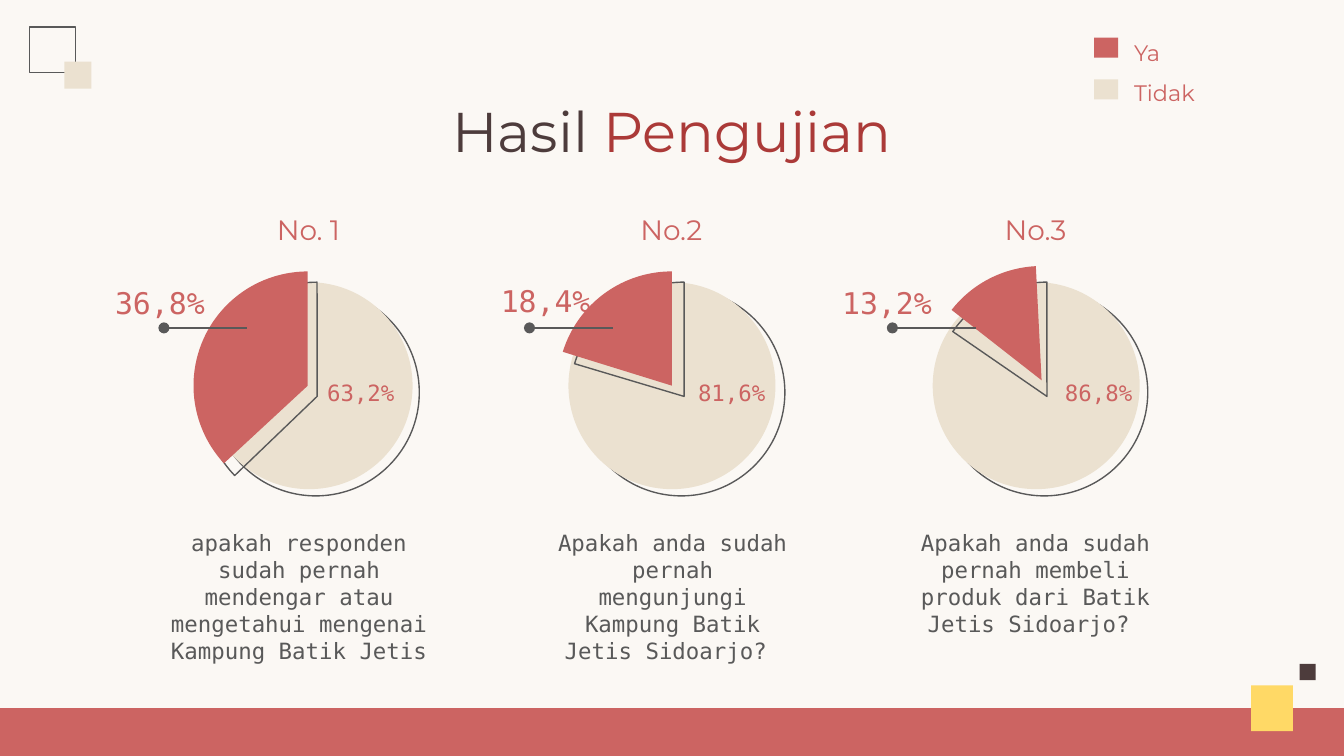
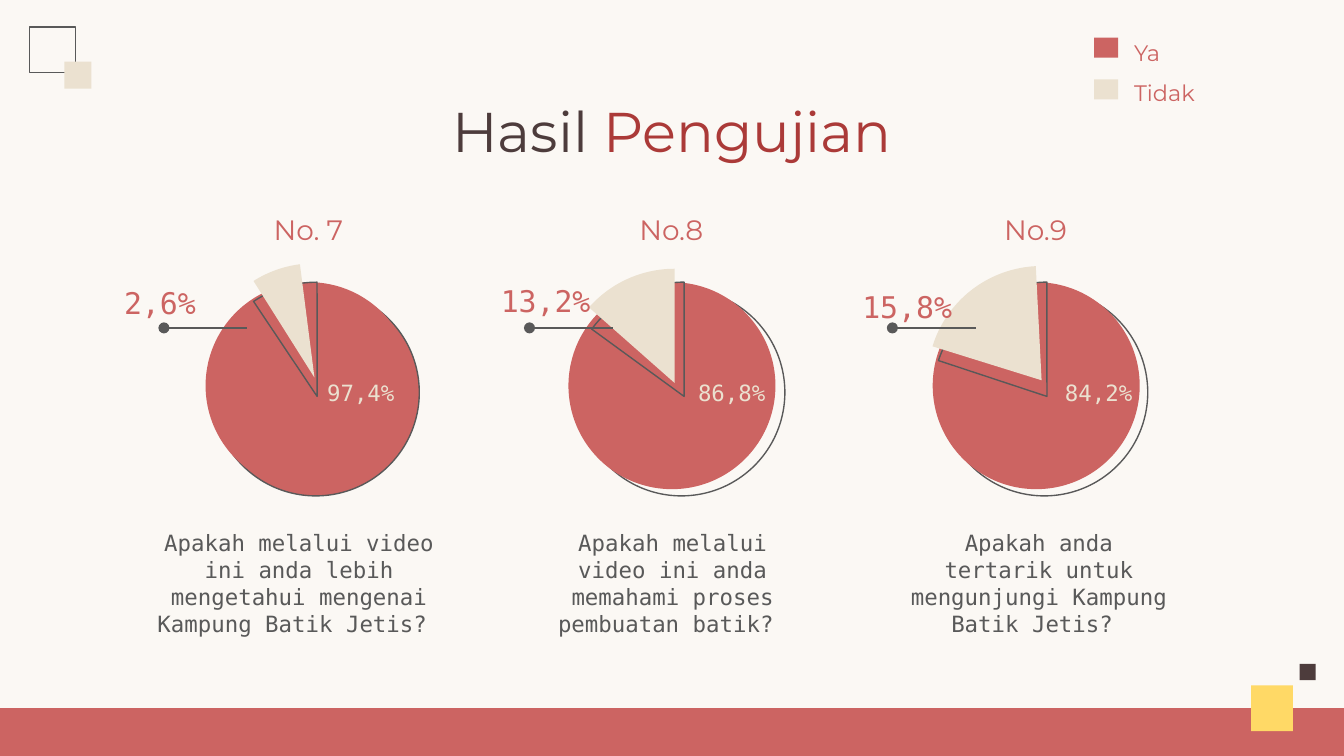
from dataclasses import dataclass

from lxml.etree import SubElement
from pptx import Presentation
from pptx.dml.color import RGBColor
from pptx.enum.shapes import MSO_CONNECTOR, MSO_SHAPE
from pptx.enum.text import MSO_ANCHOR, MSO_AUTO_SIZE, PP_ALIGN
from pptx.oxml.ns import qn
from pptx.util import Inches, Pt

PAPER, GRAY, BROWN, CRIMSON = "FBF8F4", "595959", "4D3C3C", "AB3A38"
RED, BEIGE, YELLOW = "CC6462", "EBE1D0", "FFD966"
HEADING_FONT, BODY_FONT = "Montserrat", "DejaVu Sans Mono"
LINE_WIDTH = 0.75
CIRCLE_SIZE, PIE_SIZE = 1.54, 1.7
COLUMN_TOP = 1.51


@dataclass
class Column:
    """Left edge of a column and the offsets of its parts from that edge."""
    left: float
    ring: float
    wedge: float
    pointer: float
    majority: float


@dataclass
class Question:
    """One survey question; slice and caption lefts count from the column."""
    number: str
    text: str
    minority: str
    majority: str
    wedge_angle: float
    slice_angle: float
    slice_place: tuple
    caption: tuple
    label_place: tuple
    slice_turn: float = 0
    majority_ring: bool = False


COLUMNS = [
    Column(1.47, 0.11, 0.04, -0.25, 0.78),
    Column(4.17, 0.13, 0.07, -0.23, 0.84),
    Column(6.88, 0.12, 0.06, -0.24, 0.86),
]

AWARENESS = [
    Question("No. 1", "apakah responden sudah pernah mendengar atau mengetahui "
             "mengenai Kampung Batik Jetis", "36,8%", "63,2%", 136.17, 137.19,
             (-0.03, 0.51), (-0.44, 2.39), (-0.73, 0.53)),
    Question("No.2", "Apakah anda sudah pernah mengunjungi Kampung Batik Jetis "
             "Sidoarjo? ", "18,4%", "81,6%", 196.61, 197.22,
             (-0.02, 0.51), (-0.15, 1.97), (-0.56, 0.52)),
    Question("No.3", "Apakah anda sudah pernah membeli produk dari Batik Jetis "
             "Sidoarjo? ", "13,2%", "86,8%", 214.54, 220.9,
             (0.02, 0.47), (-0.16, 1.97), (-0.73, 0.53), -2.9),
]

VIDEO_EFFECT = [
    Question("No. 7", "Apakah melalui video ini anda lebih mengetahui mengenai "
             "Kampung Batik Jetis? ", "2,6%", "97,4%", 236.22, 245.07,
             (0.02, 0.45), (-0.45, 2.41), (-0.73, 0.53), -7.3, True),
    Question("No.8", "Apakah melalui video ini anda memahami proses pembuatan "
             "batik? ", "13,2%", "86,8%", 216.08, 221.44,
             (0, 0.49), (-0.15, 1.97), (-0.56, 0.52)),
    Question("No.9", "Apakah anda tertarik untuk mengunjungi Kampung Batik "
             "Jetis? ", "15,8%", "84,2%", 198.28, 200.19,
             (0.02, 0.47), (-0.24, 2.18), (-0.58, 0.56), -2.9),
]


def rgb(color):
    """Turn a hex string into a colour."""
    return RGBColor.from_string(color)


def add_figure(slide, kind, box, fill=None, line=None):
    """Add a flat preset shape."""
    shape = slide.shapes.add_shape(kind, *map(Inches, box))
    shape.shadow.inherit = False
    if fill:
        shape.fill.solid()
        shape.fill.fore_color.rgb = rgb(fill)
    else:
        shape.fill.background()
    if line:
        shape.line.color.rgb = rgb(line)
        shape.line.width = Pt(LINE_WIDTH)
    else:
        shape.line.fill.background()
    return shape


def add_pie(slide, left, top, angle, fill=None, line=None, turn=0):
    """Add a pie sector running clockwise from an angle to twelve o'clock."""
    box = (left, top, PIE_SIZE, PIE_SIZE)
    shape = add_figure(slide, MSO_SHAPE.PIE, box, fill, line)
    for index, degrees in enumerate((angle, 270)):
        shape.adjustments[index] = degrees * 0.6
    shape.rotation = turn


def set_frame(frame, anchor, inset=0.1):
    """Wrap a text frame and set its anchor and margins."""
    frame.word_wrap = True
    frame.auto_size = MSO_AUTO_SIZE.NONE
    frame.vertical_anchor = anchor
    frame.margin_left = frame.margin_right = Inches(0.1)
    frame.margin_top = frame.margin_bottom = Inches(inset)


def write(paragraph, text, size=12, color=RED, font=BODY_FONT,
          align=PP_ALIGN.CENTER):
    """Append a formatted run to a paragraph."""
    paragraph.alignment = align
    run = paragraph.add_run()
    run.text = text
    run.font.size = Pt(size)
    run.font.name = font
    run.font.color.rgb = rgb(color)


def add_label(slide, box, text, anchor=MSO_ANCHOR.MIDDLE, **style):
    """Add a text box with one formatted paragraph."""
    frame = slide.shapes.add_textbox(*map(Inches, box)).text_frame
    set_frame(frame, anchor)
    write(frame.paragraphs[0], text, **style)


def add_pointer(slide, left, top, length=0.62):
    """Add a horizontal line that starts with a dot."""
    connector = slide.shapes.add_connector(
        MSO_CONNECTOR.STRAIGHT,
        *map(Inches, (left, top, left + length, top)))
    connector.line.color.rgb = rgb(GRAY)
    connector.line.width = Pt(LINE_WIDTH)
    SubElement(connector.line._get_or_add_ln(), qn("a:headEnd"), type="oval")
    SubElement(connector._element.spPr, qn("a:effectLst"))


def add_decor(slide):
    """Add the bottom band and the corner squares."""
    for box, fill, line in (
        ((0, 5.27, 10, 0.37), RED, None),
        ((9.31, 5.1, 0.31, 0.34), YELLOW, None),
        ((9.67, 4.94, 0.12, 0.12), BROWN, None),
        ((0.22, 0.2, 0.34, 0.34), None, GRAY),
        ((0.48, 0.46, 0.2, 0.2), BEIGE, None),
    ):
        add_figure(slide, MSO_SHAPE.RECTANGLE, box, fill, line)


def add_title(slide):
    """Fill the title placeholder in two colours."""
    title = slide.shapes.title
    title.left, title.top, title.width, title.height = map(
        Inches, (0.7, 0.65, 8.6, 0.63))
    set_frame(title.text_frame, MSO_ANCHOR.MIDDLE)
    for text, color in (("Hasil ", BROWN), ("Pengujian", CRIMSON)):
        write(title.text_frame.paragraphs[0], text, size=30, color=color,
              font=HEADING_FONT)


def add_legend(slide, left, top):
    """Add the answer colours with their names."""
    box = map(Inches, (left + 0.2, top, 0.94, 0.67))
    frame = slide.shapes.add_textbox(*box).text_frame
    set_frame(frame, MSO_ANCHOR.TOP, inset=0.05)
    frame.auto_size = MSO_AUTO_SIZE.SHAPE_TO_FIT_TEXT
    frame.add_paragraph()
    answers = (("Ya", RED), ("Tidak", BEIGE))
    for index, (name, color) in enumerate(answers):
        swatch = (left, top + 0.14 + 0.31 * index, 0.18, 0.15)
        add_figure(slide, MSO_SHAPE.RECTANGLE, swatch, color)
        paragraph = frame.paragraphs[index]
        paragraph.line_spacing = 1.5
        write(paragraph, name, font=HEADING_FONT, align=PP_ALIGN.LEFT)


def add_question(slide, column, question, slice_color, circle_color):
    """Draw one question's heading, pie, percentages and caption."""
    left, top = column.left, COLUMN_TOP
    ring_fill = circle_color if question.majority_ring else None
    add_label(slide, (left, top, 1.65, 0.42), question.number,
              anchor=MSO_ANCHOR.BOTTOM, size=15, font=HEADING_FONT)
    add_figure(slide, MSO_SHAPE.OVAL,
               (left + column.ring, top + 0.64, CIRCLE_SIZE, CIRCLE_SIZE),
               ring_fill, GRAY)
    add_figure(slide, MSO_SHAPE.OVAL,
               (left + 0.06, top + 0.59, CIRCLE_SIZE, CIRCLE_SIZE),
               circle_color)
    add_pie(slide, left + column.wedge, top + 0.59, question.wedge_angle,
            fill=ring_fill, line=GRAY)
    slice_left, slice_top = question.slice_place
    add_pie(slide, left + slice_left, top + slice_top, question.slice_angle,
            fill=slice_color, turn=question.slice_turn)
    label_left, label_top = question.label_place
    add_label(slide, (left + label_left, top + label_top, 0.9, 0.42),
              question.minority, size=16)
    add_pointer(slide, left + column.pointer, top + 0.93)
    add_label(slide, (left + column.majority, top + 1.2, 0.87, 0.42),
              question.majority, color=slice_color)
    caption_left, caption_width = question.caption
    add_label(slide, (left + caption_left, top + 2.33, caption_width, 1.13),
              question.text, anchor=MSO_ANCHOR.TOP, color=GRAY)


def add_result_slide(presentation, questions, slice_color, circle_color):
    """Add a slide with three survey questions."""
    slide = presentation.slides.add_slide(presentation.slide_layouts[5])
    add_decor(slide)
    add_title(slide)
    for column, question in zip(COLUMNS, questions):
        add_question(slide, column, question, slice_color, circle_color)
    add_legend(slide, 8.14, 0.14)


def main():
    """Build and save the presentation."""
    presentation = Presentation()
    presentation.slide_width = Inches(10)
    presentation.slide_height = presentation.slide_width * 9 // 16
    background = presentation.slide_master.background.fill
    background.solid()
    background.fore_color.rgb = rgb(PAPER)
    add_result_slide(presentation, AWARENESS, RED, BEIGE)
    add_result_slide(presentation, VIDEO_EFFECT, BEIGE, RED)
    presentation.save("out.pptx")


if __name__ == "__main__":
    main()
